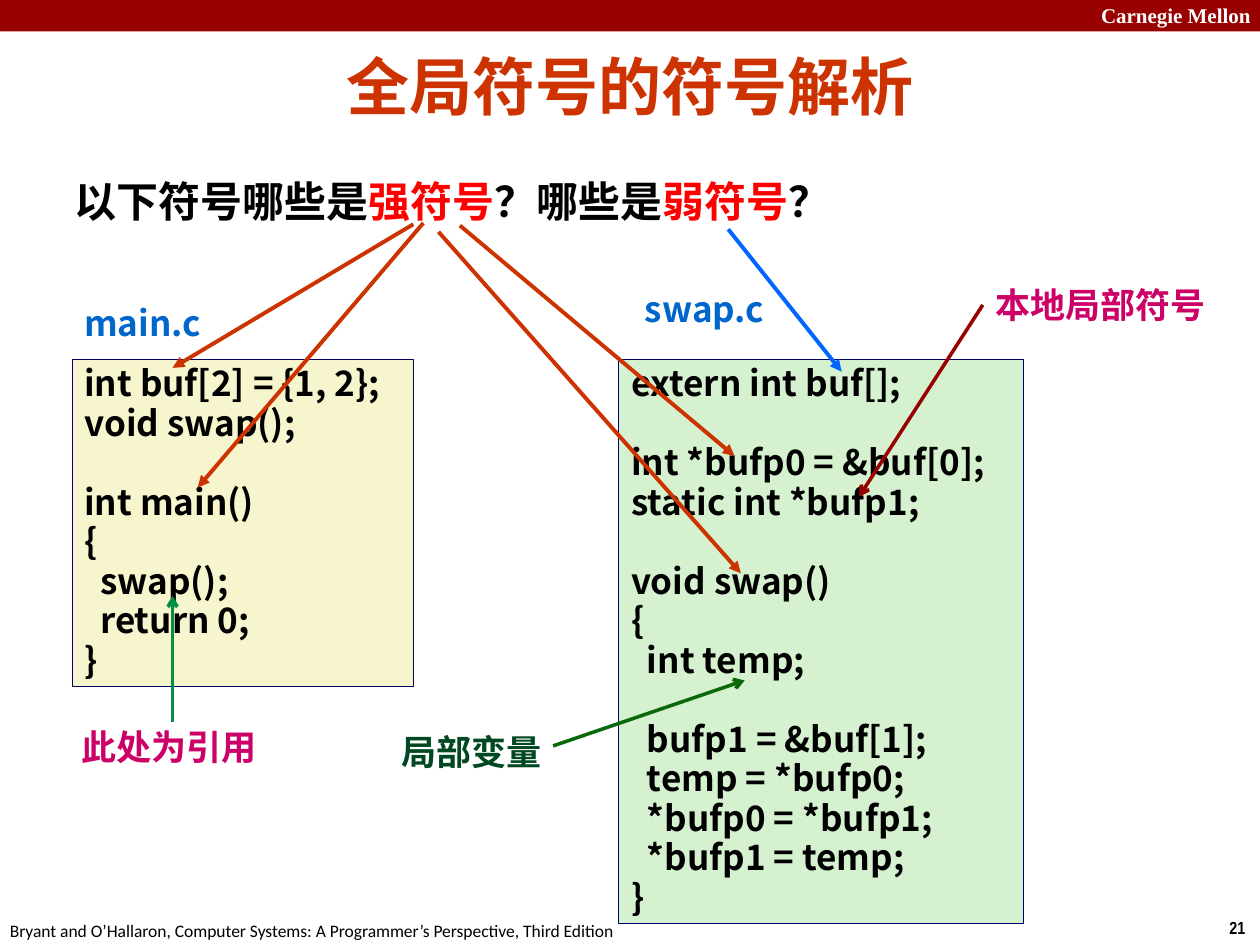
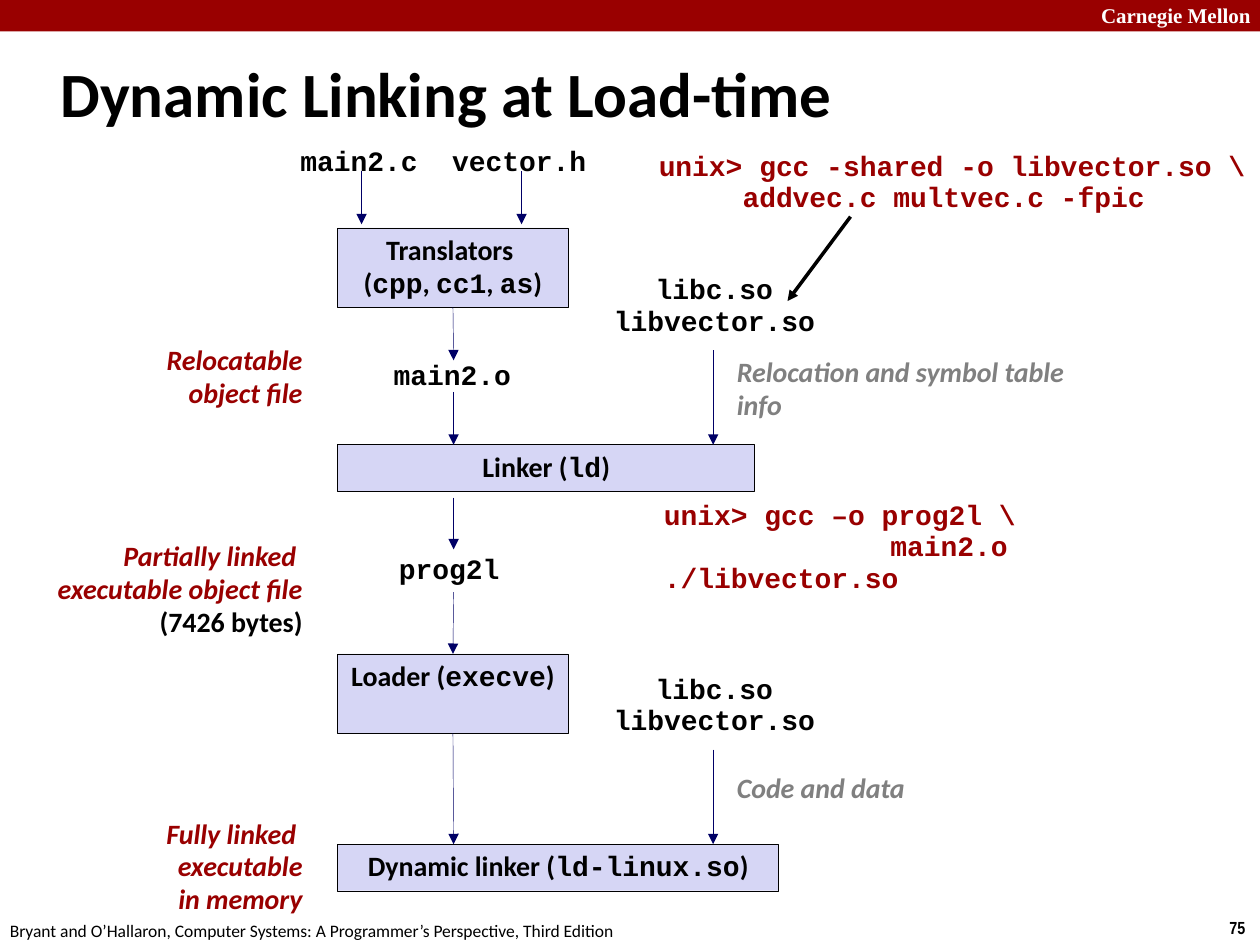
from dataclasses import dataclass, replace

from lxml.etree import SubElement
from pptx import Presentation
from pptx.dml.color import RGBColor
from pptx.enum.shapes import MSO_CONNECTOR as Connector, MSO_SHAPE as Shape
from pptx.enum.text import MSO_ANCHOR as Anchor, MSO_AUTO_SIZE as AutoSize, PP_ALIGN as Align
from pptx.oxml.ns import qn
from pptx.util import Inches, Pt

# The grid has 100 columns and 75 rows of a tenth of an inch.
COLUMNS, ROWS = 100, 75
CELL = Inches(0.1)
BOTTOM, TOP = 2, 0

COLORS = {
    "black": "000000", "white": "FFFFFF", "band": "990000", "navy": "000066",
    "title": "CC3300", "red": "FF0000", "file": "0066CC", "pink": "CC0066",
    "weak": "0066FF", "use": "009242", "local": "004821", "local_arrow": "0A6A0A",
    "cream": "F7F5CD", "mint": "D5F1CF", "lilac": "D6D6F5", "grey": "808080",
}


@dataclass(frozen=True)
class Style:
    size: int
    font: str
    color: str = "black"
    bold: bool = True
    italic: bool = False


CJK = "Noto Sans CJK SC"
CODE = Style(20, CJK)
QUESTION = Style(24, "Arial")
STRONG = replace(QUESTION, color="red")
PLAIN = Style(16, "Calibri")
MONO = Style(16, "Courier New")
COMMAND = replace(MONO, color="band")
STAGE = replace(PLAIN, color="band", italic=True)
NOTE = replace(STAGE, color="grey")
FOOTER = Style(10, "Calibri", bold=False)

MAIN_CODE = """int buf[2] = {1, 2};
void swap();

int main()
{
  swap();
  return 0;
}"""

SWAP_CODE = """extern int buf[];

int *bufp0 = &buf[0];
static int *bufp1;

void swap()
{
  int temp;

  bufp1 = &buf[1];
  temp = *bufp0;
  *bufp0 = *bufp1;
  *bufp1 = temp;
}"""


def grid(*cells):
    return [round(cell * CELL) for cell in cells]


def rgb(name):
    return RGBColor.from_string(COLORS[name])


def add_span(para, text, style):
    span = para.add_run()
    span.text = text
    font = span.font
    font.size, font.name = Pt(style.size), style.font
    font.bold, font.italic = style.bold, style.italic
    font.color.rgb = rgb(style.color)
    SubElement(span._r.get_or_add_rPr(), qn("a:ea"), typeface=CJK)


def write(frame, lines, style, align=Align.LEFT, spacing=1.0):
    """Write lines; a line is a string or a list of strings and (text, style) pairs."""
    for number, line in enumerate(lines):
        para = frame.add_paragraph() if number else frame.paragraphs[0]
        spans = [line] if isinstance(line, str) else line
        if any("\t" in span for span in spans):
            stops = SubElement(para._p.get_or_add_pPr(), qn("a:tabLst"))
            SubElement(stops, qn("a:tab"), pos=str(10 * CELL), algn="l")
        para.alignment, para.line_spacing = align, spacing
        for span in spans:
            text, look = (span, style) if isinstance(span, str) else span
            add_span(para, text, look)


def add_text(page, place, lines, style, align=Align.LEFT, spacing=1.0, wrap=True):
    frame = page.shapes.add_textbox(*grid(*place)).text_frame
    frame.word_wrap = wrap
    write(frame, lines, style, align, spacing)


def add_box(page, place, fill, line=None):
    box = page.shapes.add_shape(Shape.RECTANGLE, *grid(*place))
    box.shadow.inherit = False
    box.fill.solid()
    box.fill.fore_color.rgb = rgb(fill)
    if line:
        box.line.color.rgb = rgb(line)
        box.line.width = Pt(0.25)
    else:
        box.line.fill.background()
    box.text_frame.word_wrap = True
    box.text_frame.vertical_anchor = Anchor.TOP
    return box


def add_arrow(page, start, end, color="navy", width=0.25, head="triangle"):
    arrow = page.shapes.add_connector(Connector.STRAIGHT, *grid(*start, *end))
    arrow.line.color.rgb = rgb(color)
    arrow.line.width = Pt(width)
    SubElement(arrow.line._get_or_add_ln(), qn("a:tailEnd"), type=head)
    SubElement(arrow._element.spPr, qn("a:effectLst"))
    return arrow


def add_code(page, place, code, fill):
    box = add_box(page, place, fill, "navy")
    write(box.text_frame, [line or " " for line in code.split("\n")], CODE, spacing=0.94)


def add_step(page, place, lines):
    box = add_box(page, place, "lilac", "black")
    write(box.text_frame, lines, PLAIN, Align.CENTER, 0.98)
    return box


def add_files(page, place, *names):
    add_text(page, place, names, MONO, Align.CENTER, 0.94, wrap=False)


def add_stage(page, place, *lines):
    add_text(page, place, lines, STAGE, Align.RIGHT, 0.98)


def add_page(deck, number, place, title, style, align=Align.LEFT):
    """Add a page with the shared band, footer, number and title."""
    page = deck.slides.add_slide(deck.slide_layouts[5])
    add_box(page, (0, 0, COLUMNS, 2.5), "band")
    add_text(page, (86.4, -0.3, 14.3, 3), ["Carnegie Mellon"],
             Style(12, "Times New Roman", "white"))
    add_text(page, (96.6, 72.3, 3.4, 2.7), [number], Style(10, "Arial Narrow"), wrap=False)
    add_text(page, (-0.2, 72.5, 50.8, 2.7),
             ["Bryant and O’Hallaron, Computer Systems: A Programmer’s Perspective, Third Edition"],
             FOOTER, wrap=False)
    heading = page.shapes.title
    heading.left, heading.top, heading.width, heading.height = grid(*place)
    heading.text_frame.auto_size = AutoSize.NONE
    heading.text_frame.vertical_anchor = Anchor.MIDDLE
    write(heading.text_frame, [title], style, align)
    return page


def add_symbols_page(deck):
    page = add_page(deck, "21", (5, 3.7, 90, 6.1), "全局符号的符号解析",
                    Style(36, "Arial", "title"), Align.CENTER)
    add_code(page, (5.7, 28.5, 27.1, 26), MAIN_CODE, "cream")
    add_code(page, (49.1, 28.5, 32.1, 44.8), SWAP_CODE, "mint")

    file_name = replace(CODE, color="file")
    add_text(page, (5.7, 23.7, 12.9, 4.1), ["main.c"], file_name, spacing=0.94)
    add_text(page, (50.2, 22.6, 14.6, 4.1), ["swap.c"], file_name, spacing=0.94)

    for place, label, color in [
        ((5.5, 57.1, 15.9, 4.3), "此处为引用", "pink"),
        ((78, 22, 19.2, 4.3), "本地局部符号", "pink"),
        ((30.9, 57.5, 13.1, 4.3), "局部变量", "local"),
    ]:
        add_text(page, place, [label], replace(CODE, color=color), wrap=False)
    for start, end, color in [
        ((13.7, 57.3), (13.7, 47.3), "use"),
        ((78, 24.2), (68.2, 39.4), "band"),
        ((43.9, 59.2), (59.1, 54), "local_arrow"),
    ]:
        add_arrow(page, start, end, color, 2, "arrow")

    question = ["以下符号哪些是", ("强符号", STRONG), "？哪些是", ("弱符号", STRONG), "？"]
    add_text(page, (4.9, 13.4, 69.7, 5), [question], QUESTION)
    for start, end in [
        ((33.6, 17.7), (15.7, 38.7)),
        ((32.8, 17.8), (13.7, 29.2)),
        ((36.5, 17.9), (58.3, 36.2)),
        ((34.8, 18.4), (58.8, 45.5)),
    ]:
        add_arrow(page, start, end, "title", 2.25)
    add_arrow(page, (57.8, 18.2), (66.8, 29.5), "weak", 2.25)


def add_linking_page(deck):
    page = add_page(deck, "75", (3.8, 3.1, 95.3, 8.5), "Dynamic Linking at Load-time",
                    Style(36, "Calibri"))
    left, flow, library = 26.8, 36, 56.6

    tools = ["(", ("cpp", MONO), ", ", ("cc1", MONO), ", ", ("as", MONO), ")"]
    translators = add_step(page, (left, 18.1, 18.3, 6.3), ["Translators ", tools])
    add_step(page, (left, 35.3, 33.1, 3.7), [["Linker (", ("ld", MONO), ")"]])
    loader = add_step(page, (left, 51.9, 18.3, 6.3), [["Loader (", ("execve", MONO), ")"]])
    add_step(page, (left, 67, 35, 3.7), [["Dynamic linker (", ("ld-linux.so", MONO), ")"]])

    add_files(page, (22.8, 11.1, 11.4, 3.6), "main2.c")
    add_files(page, (34.8, 11.1, 12.8, 3.6), "vector.h")
    add_files(page, (30.2, 28.1, 11.4, 3.6), "main2.o")
    add_files(page, (30.6, 43.5, 10.1, 3.6), "prog2l")
    for top in (21.3, 53):
        add_files(page, (47.6, top, 18.2, 6.1), "libc.so", "libvector.so")

    for column, start, end in [
        (28.7, 13.6, 17.8), (41.4, 13.6, 17.8),
        (flow, 31.1, 35.3), (flow, 39.5, 43.6),
        (library, 27.8, 35.3), (library, 59.5, 67),
    ]:
        add_arrow(page, (column, start), (column, end))
    add_arrow(page, (flow, 24.4), (flow, 28.6)).begin_connect(translators, BOTTOM)
    add_arrow(page, (flow, 47), (flow, 51.9)).end_connect(loader, TOP)
    add_arrow(page, (flow, 58.2), (flow, 67)).begin_connect(loader, BOTTOM)

    add_stage(page, (10, 26.8, 15, 6.3), "Relocatable", "object file")
    add_stage(page, (-2.5, 42.4, 27.5, 8.9), "Partially linked ", "executable object file",
              [("(7426 bytes)", PLAIN)])
    add_stage(page, (5.8, 64.4, 19.2, 8.9), "Fully linked ", "executable", "in memory")

    add_text(page, (57.5, 27.8, 28.5, 6.3), ["Relocation and symbol table info"],
             NOTE, spacing=0.98)
    add_text(page, (57.5, 60.8, 19.4, 3.7), ["Code and data"], NOTE, spacing=0.98)

    add_text(page, (51.3, 11.5, 49.2, 6.1),
             ["unix> gcc -shared -o libvector.so \\", "     addvec.c multvec.c -fpic"],
             COMMAND, spacing=0.94)
    add_text(page, (51.7, 39.2, 39.8, 6.1),
             ["unix> gcc –o prog2l \\", "\t      main2.o ./libvector.so"],
             COMMAND, spacing=0.94)
    add_arrow(page, (67.5, 17.2), (62.5, 23.9), "black", 2)


def main():
    deck = Presentation()
    deck.slide_width, deck.slide_height = grid(COLUMNS, ROWS)
    add_symbols_page(deck)
    add_linking_page(deck)
    deck.save("out.pptx")


if __name__ == "__main__":
    main()
